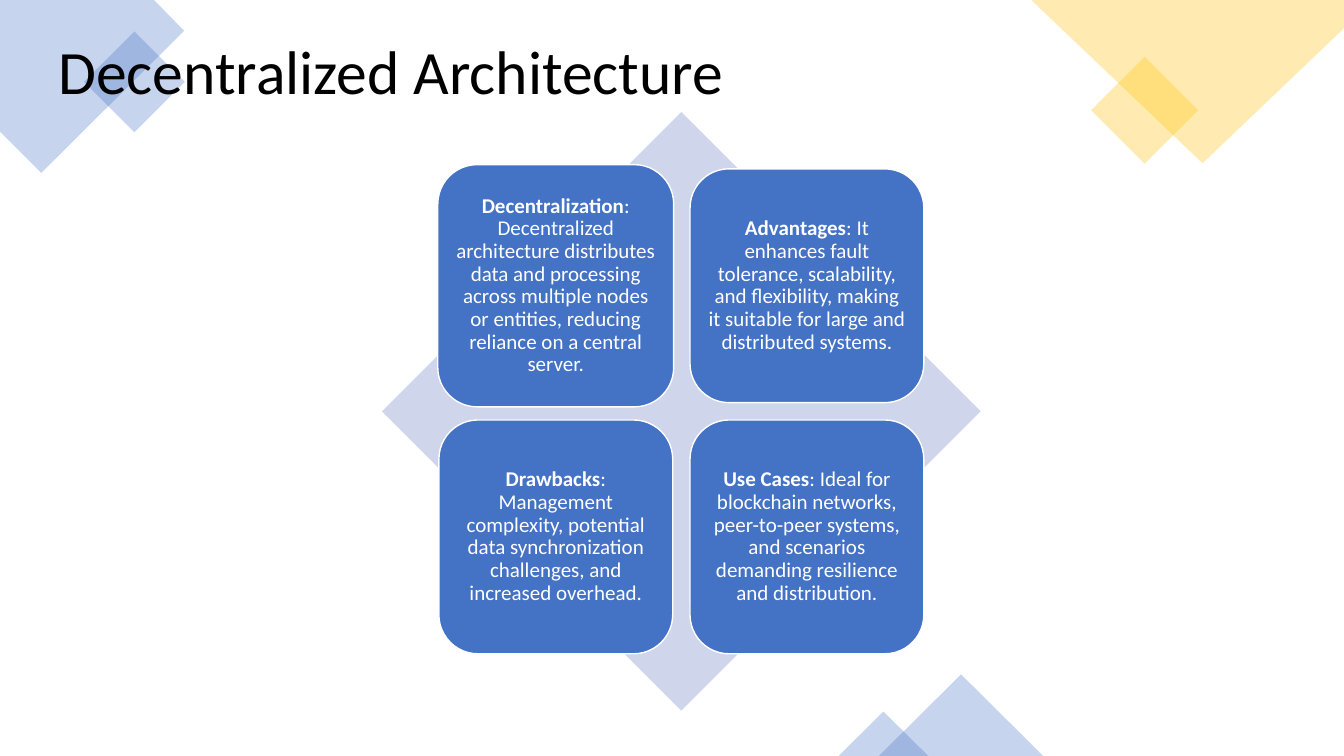
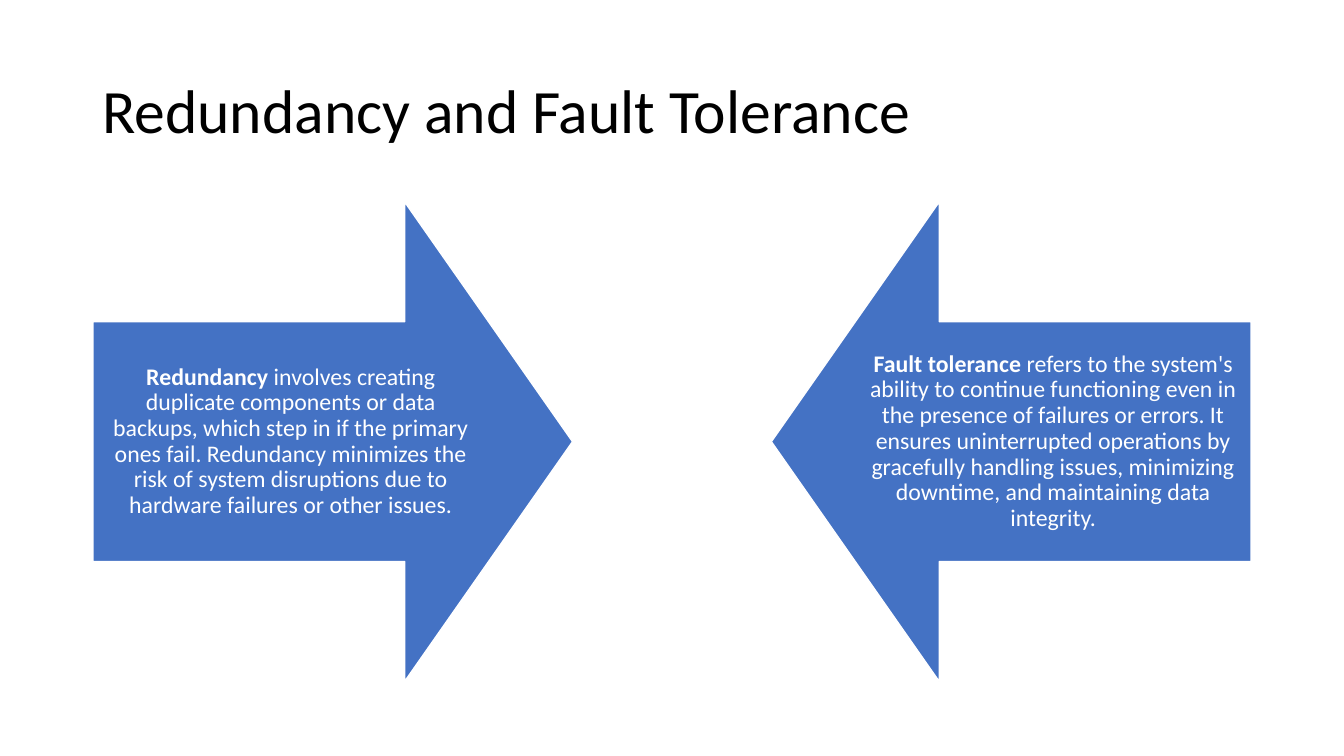
from lxml.etree import SubElement
from pptx import Presentation
from pptx.dml.color import RGBColor
from pptx.enum.shapes import MSO_SHAPE as Kind
from pptx.enum.text import MSO_ANCHOR as Anchor, PP_ALIGN as Align
from pptx.oxml.ns import qn
from pptx.util import Pt


class Theme:
    font = "Calibri"
    blue = RGBColor.from_string("4472C4")
    gold = RGBColor.from_string("FFC000")
    pale = RGBColor.from_string("CFD5EA")
    white = RGBColor.from_string("FFFFFF")
    black = RGBColor.from_string("000000")
    title, card, arrow = 44, 15, 17
    alpha = 30
    leading = 0.9


WIDTH, HEIGHT = 960, 540

# Corner ornaments: outlines as points, presets as left, top, width, height
CORNERS = [
    (Theme.blue, [(0, 0), (110, 0), (131.5, 22), (29.5, 123.5), (0, 94)]),
    (Theme.gold, [(736.6, 0), (859, 116.6), (960, 20.2), (960, 0)]),
]
TILES = [
    (Kind.DIAMOND, Theme.blue, (60, 22.5, 72, 72)),
    (Kind.DIAMOND, Theme.gold, (779.4, 40.6, 76.4, 76.4)),
    (Kind.ISOSCELES_TRIANGLE, Theme.blue, (627.8, 481.7, 117.4, 58.3)),
    (Kind.ISOSCELES_TRIANGLE, Theme.blue, (599, 508.3, 64.1, 31.7)),
]

# Bold lead, rest of the text, extra width and height of the card
CARDS = [
    ("Decentralization", ": Decentralized architecture distributes data and "
     "processing across multiple nodes or entities, reducing reliance on a "
     "central server.", (1.5, 6)),
    ("Advantages", ": It enhances fault tolerance, scalability, and "
     "flexibility, making it suitable for large and distributed systems.",
     (0, 0)),
    ("Drawbacks", ": Management complexity, potential data synchronization "
     "challenges, and increased overhead.", (0, 0)),
    ("Use Cases", ": Ideal for blockchain networks, peer-to-peer systems, "
     "and scenarios demanding resilience and distribution.", (0, 0)),
]
MID = (486.7, 293.8)
DIAMOND, CARD, GAP = 427.6, 167, 12.4

ARROWS = [
    (Kind.RIGHT_ARROW, "Redundancy", " involves creating duplicate components "
     "or data backups, which step in if the primary ones fail. Redundancy "
     "minimizes the risk of system disruptions due to hardware failures or "
     "other issues."),
    (Kind.LEFT_ARROW, "Fault tolerance", " refers to the system's ability to "
     "continue functioning even in the presence of failures or errors. It "
     "ensures uninterrupted operations by gracefully handling issues, "
     "minimizing downtime, and maintaining data integrity."),
]
SIDE, TOP, ARROW = 66.4, 144.2, 342.6


def paint(shape, color, alpha=None, edge=False):
    shape.shadow.inherit = False
    shape.fill.solid()
    shape.fill.fore_color.rgb = color
    if alpha:
        node = shape.fill._xPr.find(qn("a:solidFill"))[0]
        SubElement(node, qn("a:alpha")).set("val", str(alpha * 1000))
    if edge:
        shape.line.color.rgb = Theme.white
        shape.line.width = Pt(1)
    else:
        shape.line.fill.background()


def add(slide, kind, box, color, **style):
    shape = slide.shapes.add_shape(kind, *map(Pt, box))
    paint(shape, color, **style)
    return shape


def write(shape, runs, size, color, align, pad=None):
    """Fill a shape with one paragraph of (text, bold) runs."""
    frame = shape.text_frame
    frame.word_wrap = True
    frame.vertical_anchor = Anchor.MIDDLE
    if pad:
        frame.margin_left = frame.margin_right = Pt(pad)
        frame.margin_top = frame.margin_bottom = Pt(pad)
    para = frame.paragraphs[0]
    para.alignment = align
    para.line_spacing = Theme.leading
    para.font.name = Theme.font
    para.font.size = Pt(size)
    para.font.color.rgb = color
    for text, bold in runs:
        run = para.add_run()
        run.text = text
        run.font.bold = bold


def label(shape, lead, rest, size, pad):
    write(shape, [(lead, True), (rest, False)], size, Theme.white,
          Align.CENTER, pad)


def title(slide, text, box):
    write(slide.shapes.add_textbox(*map(Pt, box)), [(text, False)],
          Theme.title, Theme.black, Align.LEFT)


def adorn(slide):
    """Draw the see-through corner ornaments."""
    for color, points in CORNERS:
        start, *rest = [(Pt(x), Pt(y)) for x, y in points]
        form = slide.shapes.build_freeform(*start)
        form.add_line_segments(rest, close=True)
        paint(form.convert_to_shape(), color, Theme.alpha)
    for kind, color, box in TILES:
        add(slide, kind, box, color, alpha=Theme.alpha)


def matrix(slide):
    """Place the cards two by two around the middle of the diamond."""
    left, top = (mid - DIAMOND / 2 for mid in MID)
    add(slide, Kind.DIAMOND, (left, top, DIAMOND, DIAMOND), Theme.pale)
    step = CARD + GAP
    for i, (lead, rest, (wide, high)) in enumerate(CARDS):
        row, col = divmod(i, 2)
        w, h = CARD + wide, CARD + high
        x = MID[0] + (col - 0.5) * step - w / 2
        y = MID[1] + (row - 0.5) * step - h / 2
        card = add(slide, Kind.ROUNDED_RECTANGLE, (x, y, w, h), Theme.blue,
                   edge=True)
        label(card, lead, rest, Theme.card, 4.3)


def facing(slide):
    """Place the two arrows at equal distance from the slide edges."""
    for i, (kind, lead, rest) in enumerate(ARROWS):
        x = SIDE + i * (WIDTH - 2 * SIDE - ARROW)
        arrow = add(slide, kind, (x, TOP, ARROW, ARROW), Theme.blue, edge=True)
        arrow.adjustments[0] = 0.5
        arrow.adjustments[1] = 0.35
        label(arrow, lead, rest, Theme.arrow, 9.4)


def main():
    deck = Presentation()
    deck.slide_width, deck.slide_height = Pt(WIDTH), Pt(HEIGHT)
    blank = deck.slide_layouts[6]

    slide = deck.slides.add_slide(blank)
    adorn(slide)
    title(slide, "Decentralized Architecture", (34.6, 11.5, 738, 82.8))
    matrix(slide)

    slide = deck.slides.add_slide(blank)
    title(slide, "Redundancy and Fault Tolerance", (66, 28.8, 828, 104.4))
    facing(slide)

    deck.save("out.pptx")


if __name__ == "__main__":
    main()
